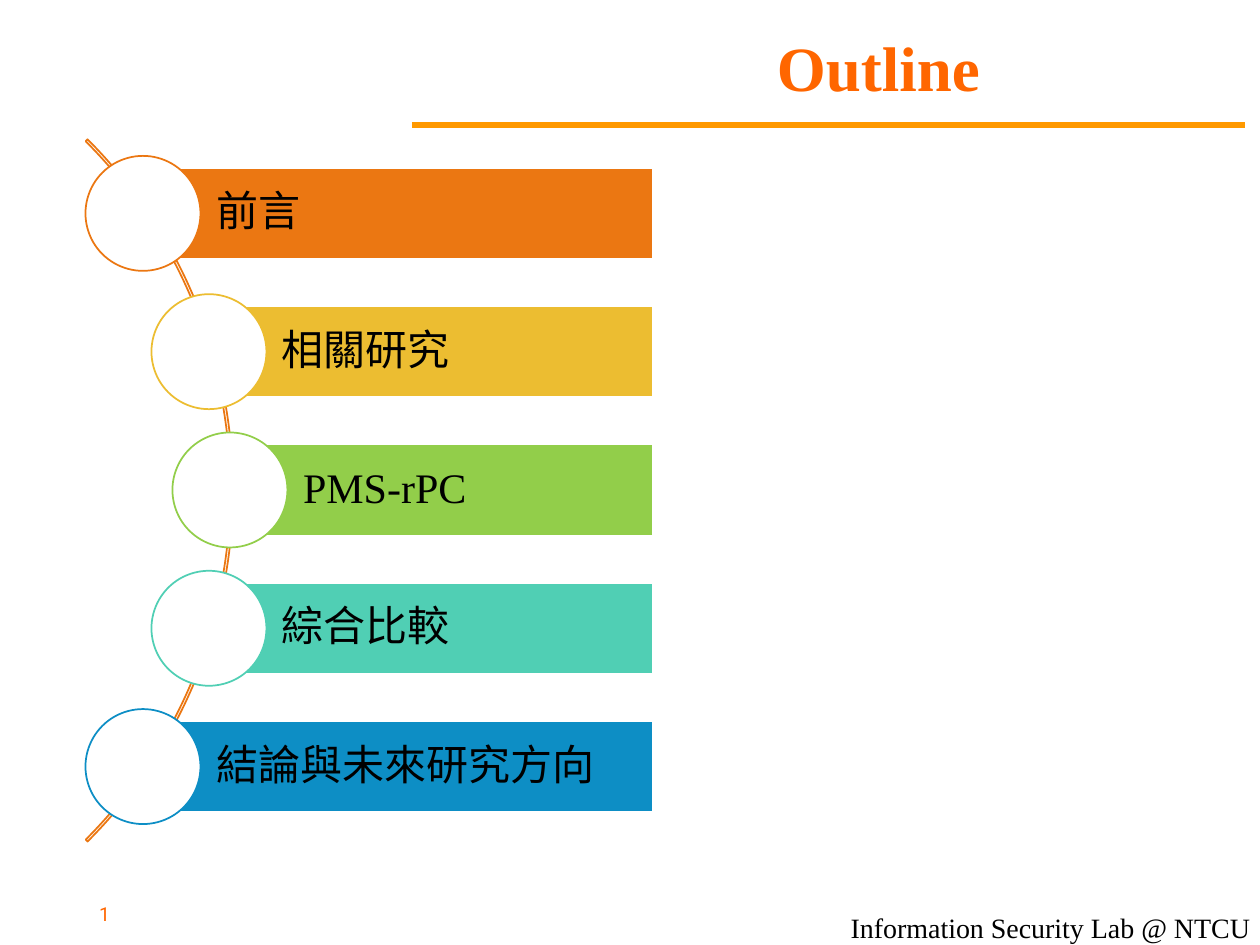
from dataclasses import dataclass

from lxml import etree
from pptx import Presentation
from pptx.dml.color import RGBColor
from pptx.enum.shapes import MSO_CONNECTOR, MSO_SHAPE
from pptx.enum.text import MSO_ANCHOR, PP_ALIGN
from pptx.oxml.ns import qn
from pptx.util import Emu, Pt

EMU_PER_PX = 914400 / 126
LEFT, CENTER, RIGHT = PP_ALIGN.LEFT, PP_ALIGN.CENTER, PP_ALIGN.RIGHT
MIDDLE, TOP = MSO_ANCHOR.MIDDLE, MSO_ANCHOR.TOP
RECTANGLE, OVAL, ARC = MSO_SHAPE.RECTANGLE, MSO_SHAPE.OVAL, MSO_SHAPE.BLOCK_ARC
STRAIGHT = MSO_CONNECTOR.STRAIGHT
SERIF, CJK, SANS = "Times New Roman", "Noto Sans CJK SC", "Roboto"
BLACK, WHITE, ORANGE, RULE_COLOR = "000000", "FFFFFF", "FF6600", "FF9900"

MIDDLE_Y, ROW_PITCH = 490, 138.3
BAR_RIGHT, BAR_HEIGHT, CIRCLE_SIZE = 653, 91, 115


@dataclass
class Topic:
    text: str
    center_x: int
    color: str
    font: str = CJK


TOPICS = [
    Topic("前言", 143, "EB7712"),
    Topic("相關研究", 209, "ECBD31"),
    Topic("PMS-rPC", 230, "92CE4A", SERIF),
    Topic("綜合比較", 209, "50CFB4"),
    Topic("結論與未來研究方向", 143, "0D8EC5"),
]


def px(length: float) -> Emu:
    return Emu(round(length * EMU_PER_PX))


def rgb(color: str) -> RGBColor:
    return RGBColor.from_string(color)


def set_all(target, values: dict) -> None:
    for name, value in values.items():
        setattr(target, name, value)


def write(box, text: str, font: str, size: int, color: str, align, anchor=MIDDLE,
          insets=(0, 0, 0, 0), bold=False, wrap=True, spacing=0.9):
    """Fill the box with one formatted line and return its run."""
    frame = box.text_frame
    left, top, right, bottom = map(px, insets)
    set_all(frame, {"word_wrap": wrap, "vertical_anchor": anchor,
                    "margin_left": left, "margin_top": top,
                    "margin_right": right, "margin_bottom": bottom})
    para = frame.paragraphs[0]
    set_all(para, {"alignment": align, "line_spacing": spacing})
    span = para.add_run()
    span.text = text
    set_all(span.font, {"name": font, "size": Pt(size), "bold": bold})
    span.font.color.rgb = rgb(color)
    latin = span.font._element.find(qn("a:latin"))
    east_asian = etree.Element(qn("a:ea"), typeface=font)
    latin.addnext(east_asian)
    return span


def add_shape(page, kind, left, top, width, height, fill, line):
    shape = page.shapes.add_shape(kind, px(left), px(top), px(width), px(height))
    shape.shadow.inherit = False
    if fill:
        shape.fill.solid()
        shape.fill.fore_color.rgb = rgb(fill)
    else:
        shape.fill.background()
    shape.line.color.rgb = rgb(line)
    shape.line.width = Pt(1)
    return shape


def add_title(page) -> None:
    title = page.shapes.title
    set_all(title, {"left": px(551), "top": px(26), "width": px(655), "height": px(90)})
    write(title, "Outline", SERIF, 36, ORANGE, CENTER, bold=True)


def add_rule(page) -> None:
    rule = page.shapes.add_connector(STRAIGHT, px(412), px(125), px(1245), px(125))
    rule.line.color.rgb = rgb(RULE_COLOR)
    rule.line.width = Pt(3)
    etree.SubElement(rule._element.spPr, qn("a:effectLst"))


def add_footer(page) -> None:
    footer = page.shapes.add_textbox(px(835), px(905), px(431), px(47))
    write(footer, "Information Security Lab @ NTCU", SERIF, 16, BLACK, CENTER, TOP,
          insets=(13, 6, 13, 6), wrap=False, spacing=1.0)


def add_slide_number(page) -> None:
    box = page.shapes.add_textbox(px(74), px(900), px(49), px(28))
    span = write(box, "1", SANS, 11, ORANGE, RIGHT, insets=(13, 6, 13, 6), spacing=1.0)
    field = span._r
    field.tag = qn("a:fld")
    field.set("id", "{B6F15528-21DE-4FAA-801E-634DDDAF4B2B}")
    field.set("type", "slidenum")


def add_arc(page) -> None:
    """Draw the thin curve from 315 to 45 degrees behind the circles."""
    arc = add_shape(page, ARC, -760, MIDDLE_Y - 496, 993, 993, None, TOPICS[0].color)
    for index, value in enumerate((189, 27, 0.0027)):
        arc.adjustments[index] = value


def add_topic(page, topic: Topic, center_y: float) -> None:
    bar = add_shape(page, RECTANGLE, topic.center_x, center_y - BAR_HEIGHT / 2,
                    BAR_RIGHT - topic.center_x, BAR_HEIGHT, topic.color, WHITE)
    write(bar, topic.text, topic.font, 24, BLACK, LEFT, insets=(73, 9, 9, 9))
    radius = CIRCLE_SIZE / 2
    add_shape(page, OVAL, topic.center_x - radius, center_y - radius,
              CIRCLE_SIZE, CIRCLE_SIZE, WHITE, topic.color)


def main() -> None:
    deck = Presentation()
    set_all(deck, {"slide_width": px(1260), "slide_height": px(945)})
    page = deck.slides.add_slide(deck.slide_layouts[5])
    add_rule(page)
    add_title(page)
    add_footer(page)
    add_slide_number(page)
    add_arc(page)
    for row, topic in enumerate(TOPICS):
        add_topic(page, topic, MIDDLE_Y + (row - len(TOPICS) // 2) * ROW_PITCH)
    deck.save("out.pptx")


if __name__ == "__main__":
    main()
